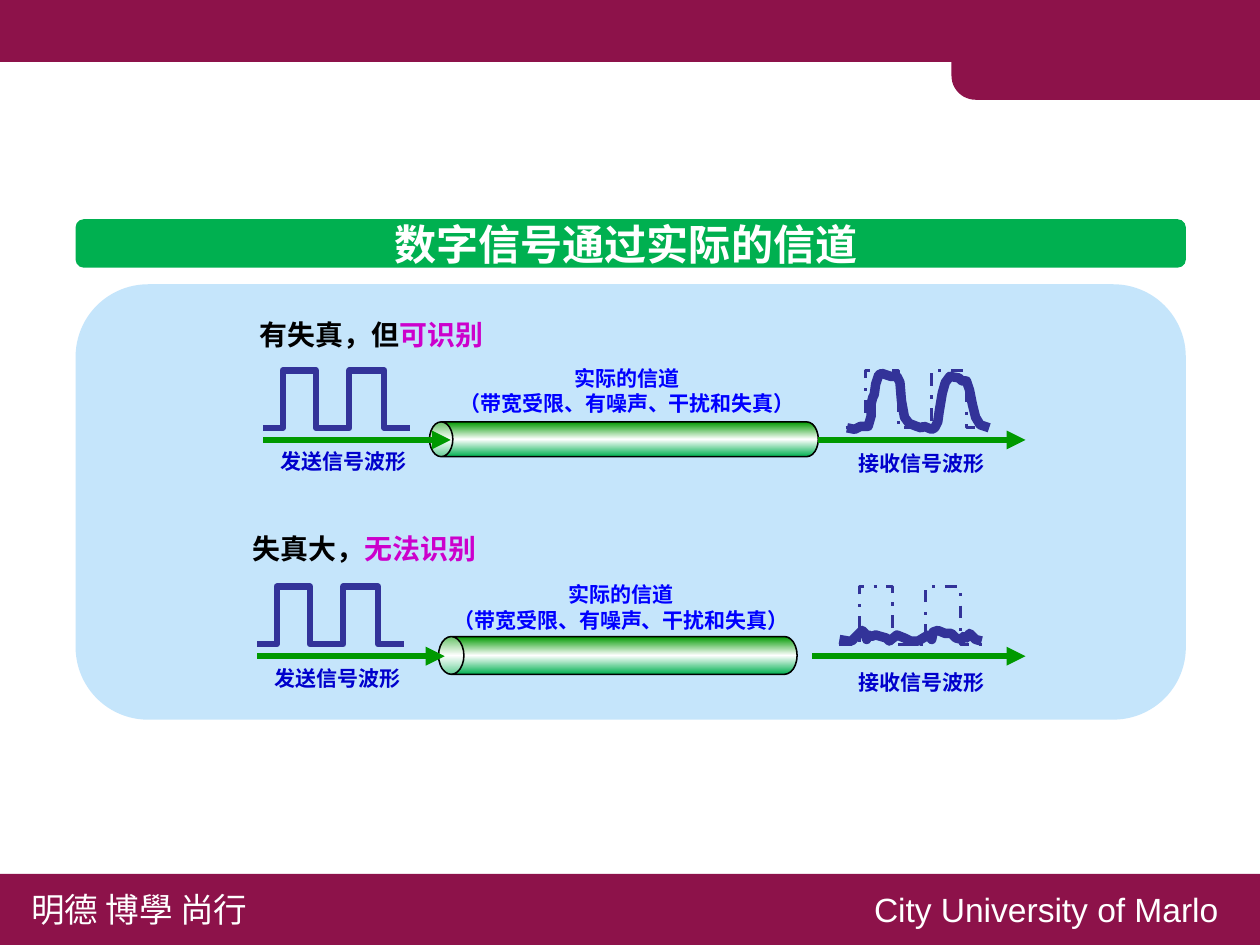
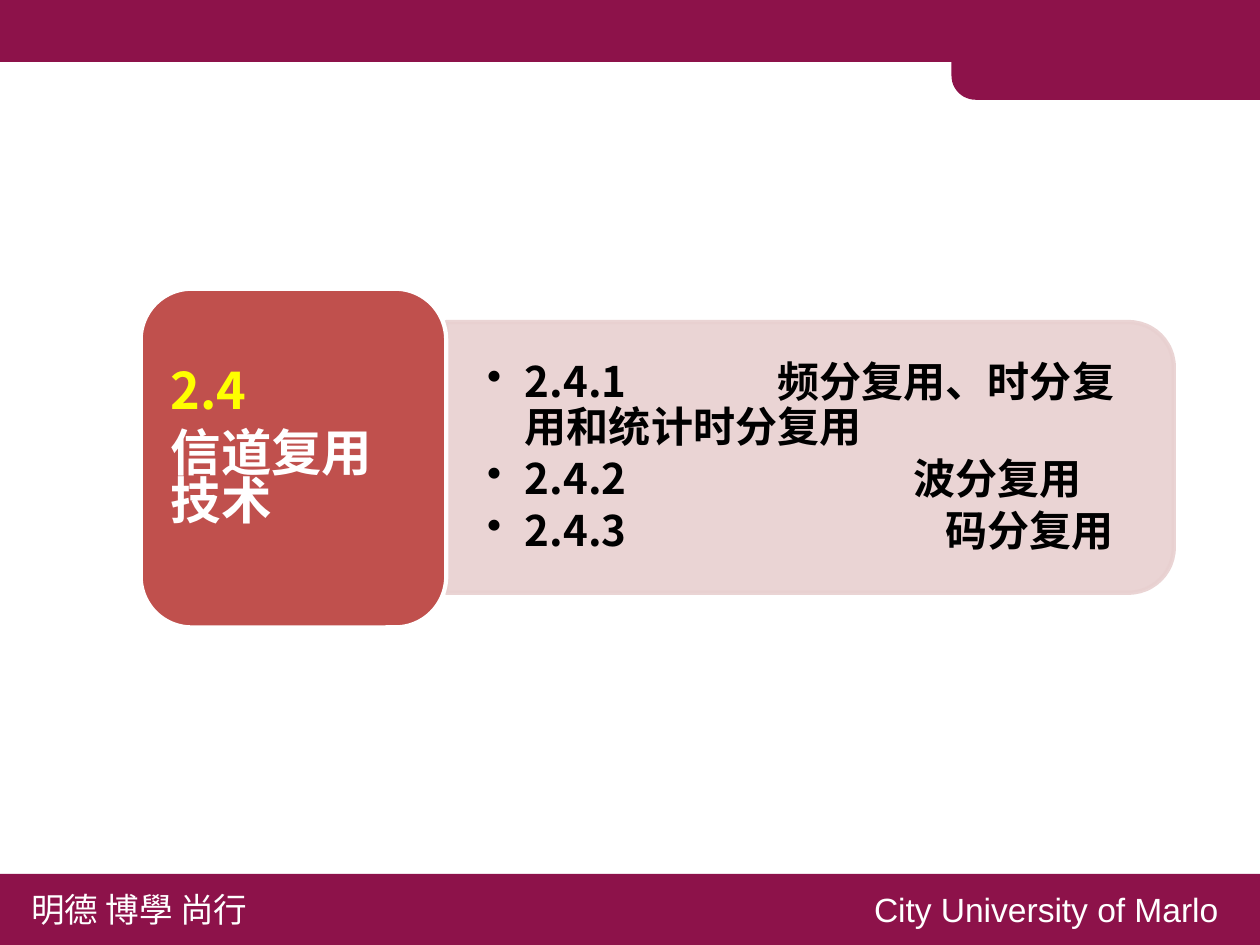
from copy import deepcopy
from dataclasses import dataclass

from lxml import etree
from pptx import Presentation
from pptx import util as u
from pptx.dml.color import RGBColor
from pptx.enum import dml, shapes, text
from pptx.oxml import ns

SHAPE = shapes.MSO_SHAPE
CENTER = text.PP_ALIGN.CENTER
MIDDLE = text.MSO_ANCHOR.MIDDLE


@dataclass(frozen=True)
class Theme:
    cjk: str = "Noto Sans CJK SC"
    latin: str = "Arial"
    band: str = "8D124A"
    white: str = "FFFFFF"
    black: str = "000000"
    title_bar: str = "00B050"
    panel: str = "C5E5FB"
    wave: str = "333399"
    arrow: str = "009900"
    channel: str = "0000FF"
    label: str = "0000CC"
    accent: str = "CC00CC"
    topic: str = "C0504D"
    topic_pale: str = "E8D0D0"
    number: str = "FFFF00"
    topic_size: float = 24
    title_size: float = 20
    footer_size: float = 16
    heading_size: float = 13.3
    label_size: float = 10


THEME = Theme()


def add_xml(parent, tag, **attributes):
    return etree.SubElement(parent, ns.qn(tag), attributes)


class SlideBuilder:
    def __init__(self, deck):
        self.deck = deck
        self.page = None

    def new_page(self):
        self.page = self.deck.slides.add_slide(self.deck.slide_layouts[6])
        self.shape(SHAPE.RECTANGLE, (-0.01, -0.01, 8.35, 0.42), THEME.band)
        self.shape(SHAPE.ROUND_2_SAME_RECTANGLE, (6.29, 0.02, 2.05, 0.64),
                   THEME.band, turn=270, adjust=0.25)
        self.shape(SHAPE.RECTANGLE, (-0.02, 5.78, 8.36, 0.49), THEME.band)
        for box, words, font in (
                ((0.11, 5.83, 1.68, 0.37), "明德 博學 尚行", THEME.cjk),
                ((5.68, 5.83, 2.62, 0.37), "City University of Marlo", THEME.latin)):
            frame = self.text_box(box)
            self.add_text(frame, [(words, THEME.white)], THEME.footer_size,
                          font=font, bold=False)

    def shape(self, kind, box, fill=None, line=None, width=2, turn=0, adjust=None):
        """Add a preset shape whose box is the area it covers after the turn."""
        left, top, wide, high = box
        if turn in (90, 270):
            left, top = left + (wide - high) / 2, top + (high - wide) / 2
            wide, high = high, wide
        item = self.page.shapes.add_shape(
            kind, *map(u.Inches, (left, top, wide, high)))
        item.rotation = turn
        item.shadow.inherit = False
        if adjust is not None:
            item.adjustments[0] = adjust
        if fill:
            item.fill.solid()
            item.fill.fore_color.rgb = RGBColor.from_string(fill)
        if line:
            self.stroke(item.line, line, width)
        else:
            item.line.fill.background()
        return item

    def stroke(self, line, color, width):
        line.color.rgb = RGBColor.from_string(color)
        line.width = u.Pt(width)

    def pipe(self, box):
        item = self.shape(SHAPE.CAN, box, line=THEME.black, width=0.75,
                          turn=270, adjust=0.67)
        item.fill.gradient()
        item.fill.gradient_angle = 0
        stops = item.element.spPr.find(ns.qn("a:gradFill")).find(ns.qn("a:gsLst"))
        stops.append(deepcopy(stops[0]))
        colors = (THEME.title_bar, THEME.white, THEME.arrow)
        for stop, color, position in zip(item.fill.gradient_stops, colors, (0, 0.5, 1)):
            stop.color.rgb = RGBColor.from_string(color)
            stop.position = position

    def wave(self, points, width, dash=None):
        start, *rest = [(u.Inches(x), u.Inches(y)) for x, y in points]
        builder = self.page.shapes.build_freeform(*start)
        builder.add_line_segments(rest, close=False)
        item = builder.convert_to_shape()
        item.shadow.inherit = False
        item.fill.background()
        self.stroke(item.line, THEME.wave, width)
        if dash:
            item.line.dash_style = dash

    def arrow(self, start, end, y):
        item = self.page.shapes.add_connector(
            shapes.MSO_CONNECTOR.STRAIGHT, *map(u.Inches, (start, y, end, y)))
        self.stroke(item.line, THEME.arrow, 3)
        properties = item.element.spPr
        add_xml(properties.find(ns.qn("a:ln")), "a:tailEnd", type="triangle")
        add_xml(properties, "a:effectLst")

    def text_box(self, box, wrap=False, anchor=text.MSO_ANCHOR.TOP):
        frame = self.page.shapes.add_textbox(*map(u.Inches, box)).text_frame
        frame.word_wrap = wrap
        frame.vertical_anchor = anchor
        return frame

    def add_text(self, frame, runs, size, align=text.PP_ALIGN.LEFT, spacing=None,
                 after=None, font=THEME.cjk, bold=True):
        """Fill the first paragraph if it is empty, otherwise add one."""
        para = frame.paragraphs[-1]
        if para.runs:
            para = frame.add_paragraph()
        para.alignment = align
        if spacing:
            para.line_spacing = spacing
        if after:
            para.space_after = u.Pt(after)
        for words, color in runs:
            span = para.add_run()
            span.text = words
            span.font.name = font
            span.font.size = u.Pt(size)
            span.font.bold = bold
            span.font.color.rgb = RGBColor.from_string(color)
            add_xml(span.font._element, "a:ea", typeface=font)
        return para

    def label(self, box, lines, color):
        frame = self.text_box(box)
        for words in lines:
            self.add_text(frame, [(words, color)], THEME.label_size, CENTER)

    def bullet(self, frame, words, tab):
        para = self.add_text(frame, [(words, THEME.black)], THEME.title_size,
                             spacing=0.9, after=3)
        properties = para._p.get_or_add_pPr()
        properties.set("marL", str(u.Inches(0.25)))
        properties.set("indent", str(u.Inches(-0.25)))
        add_xml(properties, "a:buChar", char="•")
        stops = add_xml(properties, "a:tabLst")
        add_xml(stops, "a:tab", pos=str(u.Inches(tab)), algn="l")


# Square pulses, measured from the top left of the wave.
PULSES = [(0, 0.38), (0.13, 0.38), (0.13, 0), (0.35, 0), (0.35, 0.38),
          (0.57, 0.38), (0.57, 0), (0.8, 0), (0.8, 0.38), (0.97, 0.38)]

READABLE = [
    (5.6, 2.83), (5.65, 2.84), (5.69, 2.82), (5.74, 2.82), (5.76, 2.75),
    (5.76, 2.67), (5.77, 2.63), (5.78, 2.61), (5.79, 2.54), (5.81, 2.48),
    (5.83, 2.47), (5.89, 2.49), (5.93, 2.49), (5.95, 2.53), (5.96, 2.65),
    (5.98, 2.76), (6.01, 2.8), (6.06, 2.82), (6.09, 2.83), (6.11, 2.82),
    (6.16, 2.84), (6.18, 2.83), (6.2, 2.79), (6.21, 2.72), (6.23, 2.6),
    (6.25, 2.53), (6.28, 2.49), (6.34, 2.5), (6.36, 2.52), (6.39, 2.52),
    (6.41, 2.58), (6.43, 2.68), (6.45, 2.76), (6.48, 2.81), (6.54, 2.83)]

UNREADABLE = [
    (5.55, 4.23), (5.61, 4.24), (5.63, 4.24), (5.66, 4.21), (5.7, 4.17),
    (5.72, 4.19), (5.73, 4.23), (5.74, 4.2), (5.76, 4.21), (5.79, 4.2),
    (5.86, 4.22), (5.88, 4.24), (5.93, 4.2), (5.98, 4.22), (6.02, 4.24),
    (6.07, 4.24), (6.12, 4.21), (6.14, 4.2), (6.16, 4.23), (6.17, 4.18),
    (6.2, 4.17), (6.25, 4.19), (6.29, 4.19), (6.32, 4.22), (6.36, 4.23),
    (6.37, 4.21), (6.39, 4.22), (6.41, 4.19), (6.45, 4.23), (6.49, 4.24)]


def channel_row(build, left, top, heading, pipe, received, received_label_top):
    """Draw one sent wave, channel and received wave from the sent wave's corner."""
    heading_box, runs, spacing = heading

    def pulses(x):
        return [(x + dx, top + dy) for dx, dy in PULSES]

    build.pipe(pipe)
    build.wave(pulses(left), 3)
    build.arrow(left, left + 1.24, top + 0.46)
    build.wave(pulses(left + 3.85), 1.5, dml.MSO_LINE.DASH_DOT)
    build.arrow(left + 3.67, 6.78, top + 0.46)
    build.wave(received, 4.5)
    build.label((left + 1.18, top - 0.08, 2.45, 0.44),
                ["实际的信道", "（带宽受限、有噪声、干扰和失真）"], THEME.channel)
    build.label((left + 0.01, top + 0.47, 1.04, 0.27), ["发送信号波形"], THEME.label)
    build.label((5.48, received_label_top, 1.22, 0.27), ["接收信号波形"], THEME.label)
    build.add_text(build.text_box(heading_box), runs, THEME.heading_size,
                   spacing=spacing)


def channel_page(build):
    build.new_page()
    title = build.shape(SHAPE.ROUNDED_RECTANGLE, (0.5, 1.45, 7.34, 0.32), THEME.title_bar)
    frame = title.text_frame
    frame.word_wrap = False
    frame.vertical_anchor = MIDDLE
    build.add_text(frame, [("数字信号通过实际的信道 ", THEME.white)],
                   THEME.title_size, CENTER)
    build.shape(SHAPE.ROUNDED_RECTANGLE, (0.5, 1.88, 7.34, 2.88), THEME.panel)
    channel_row(
        build, 1.74, 2.45,
        ((1.62, 2.03, 1.7, 0.33),
         [("有失真，但", THEME.black), ("可识别", THEME.accent)], 1.1),
        (2.84, 2.79, 2.57, 0.23), READABLE, 2.93)
    channel_row(
        build, 1.7, 3.88,
        ((1.57, 3.47, 1.76, 0.33),
         [("失真大，", THEME.black), ("无法识别", THEME.accent)], None),
        (2.9, 4.21, 2.37, 0.25), UNREADABLE, 4.38)


def multiplexing_page(build):
    build.new_page()
    panel = build.shape(SHAPE.ROUND_2_SAME_RECTANGLE, (2.95, 2.13, 4.81, 1.79),
                        THEME.topic_pale, THEME.topic_pale, turn=90)
    for color in panel.element.spPr.iter(ns.qn("a:srgbClr")):
        add_xml(color, "a:alpha", val="90000")

    frame = build.text_box((2.95, 2.22, 4.73, 1.62), True, MIDDLE)
    frame.margin_left = frame.margin_right = u.Inches(0.27)
    frame.margin_top = frame.margin_bottom = u.Inches(0.14)
    for words, tab in (("2.4.1\t频分复用、时分复用和统计时分复用", 1.92),
                       ("2.4.2\t波分复用", 2.82),
                       ("2.4.3\t码分复用", 3.03)):
        build.bullet(frame, words, tab)

    build.shape(SHAPE.ROUNDED_RECTANGLE, (0.93, 1.91, 2.02, 2.24),
                THEME.topic, THEME.white)
    frame = build.text_box((1.03, 2, 1.82, 2.05), True, MIDDLE)
    for words, color, spacing in (("2.4", THEME.number, 0.5),
                                  ("信道复用技术", THEME.white, 0.8)):
        build.add_text(frame, [(words, color)], THEME.topic_size,
                       spacing=spacing, after=8)


def main():
    deck = Presentation()
    deck.slide_width, deck.slide_height = u.Inches(8.33), u.Inches(6.25)
    build = SlideBuilder(deck)
    channel_page(build)
    multiplexing_page(build)
    deck.save("out.pptx")


if __name__ == "__main__":
    main()
